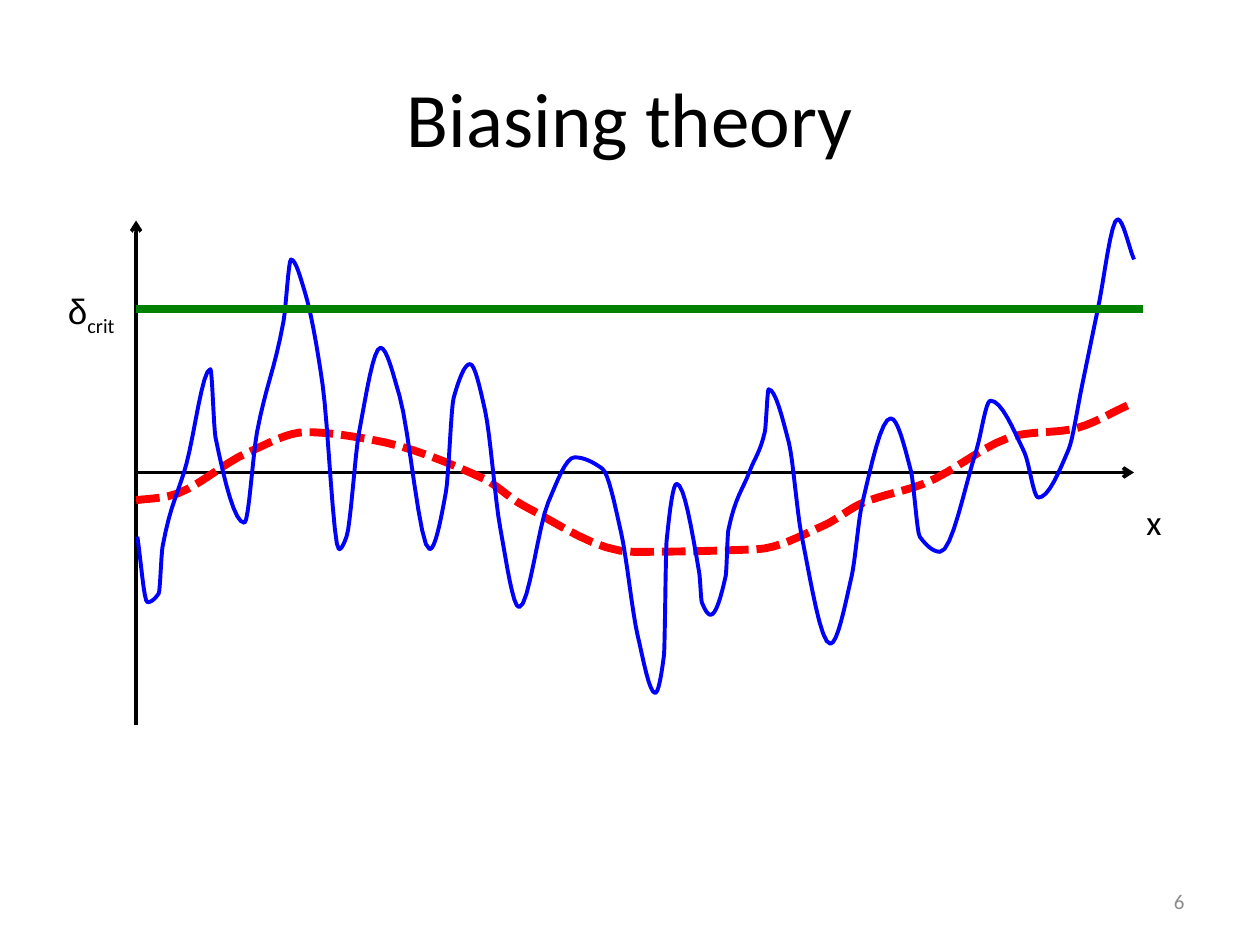
from pptx import Presentation
from pptx.dml.color import RGBColor
from pptx.enum.dml import MSO_LINE
from pptx.enum.shapes import MSO_CONNECTOR
from pptx.enum.text import MSO_ANCHOR, PP_ALIGN
from pptx.oxml.ns import qn
from pptx.util import Inches, Pt
from lxml.etree import SubElement

BLACK = RGBColor(0x00, 0x00, 0x00)
GRAY = RGBColor(0x8C, 0x8C, 0x8C)
RED = RGBColor(0xFF, 0x00, 0x00)
BLUE = RGBColor(0x00, 0x00, 0xFF)
GREEN = RGBColor(0x00, 0x80, 0x00)

AXIS_LEFT, AXIS_RIGHT = 1.08, 9
AXIS_TOP, AXIS_BOTTOM = 1.75, 5.75
MEAN_LEVEL, CRITICAL_LEVEL = 3.75, 2.45
STEPS = 8

# Knots of the curves in slide inches
LARGE_SCALE_MODE = [
    (1.08, 3.97), (1.33, 3.94), (1.97, 3.59), (2.43, 3.43), (2.95, 3.49),
    (3.84, 3.8), (4.15, 4.01), (5.03, 4.38), (6, 4.36), (6.54, 4.17),
    (6.85, 3.99), (7.33, 3.84), (8.1, 3.45), (8.49, 3.41), (8.99, 3.2),
]
DENSITY_FIELD = [
    (1.09, 4.26), (1.17, 4.78), (1.26, 4.71), (1.29, 4.34), (1.48, 3.68), (1.67, 2.93),
    (1.71, 3.47), (1.94, 4.15), (2.04, 3.43), (2.25, 2.55), (2.31, 2.06), (2.42, 2.32),
    (2.56, 3.05), (2.69, 4.36), (2.75, 4.26), (2.85, 3.43), (3.02, 2.76), (3.17, 3.14),
    (3.41, 4.36), (3.54, 3.9), (3.6, 3.16), (3.73, 2.89), (3.85, 3.26), (3.97, 4.19),
    (4.12, 4.82), (4.35, 3.99), (4.56, 3.63), (4.78, 3.72), (4.93, 4.23), (5.06, 5.04),
    (5.2, 5.5), (5.27, 5.2), (5.29, 4.3), (5.37, 3.84), (5.55, 4.55), (5.57, 4.78),
    (5.64, 4.88), (5.76, 4.57), (5.78, 4.21), (5.95, 3.74), (6.07, 3.43), (6.1, 3.09),
    (6.26, 3.51), (6.36, 4.24), (6.59, 5.11), (6.76, 4.57), (6.84, 4.01), (7.07, 3.32),
    (7.23, 3.74), (7.3, 4.26), (7.46, 4.38), (7.75, 3.57), (7.86, 3.18), (8.13, 3.59),
    (8.24, 3.95), (8.48, 3.57), (8.59, 3.05), (8.71, 2.47), (8.87, 1.74), (9, 2.06),
]

presentation = Presentation()
presentation.slide_width, presentation.slide_height = Inches(10), Inches(7.5)
slide = presentation.slides.add_slide(presentation.slide_layouts[6])


def add_text(box, text, size, color=BLACK, align=PP_ALIGN.LEFT,
             anchor=MSO_ANCHOR.TOP, wrap=True):
    shape = slide.shapes.add_textbox(*map(Inches, box))
    frame = shape.text_frame
    frame.word_wrap = wrap
    frame.vertical_anchor = anchor
    paragraph = frame.paragraphs[0]
    paragraph.alignment = align
    paragraph.add_run().text = text
    font = paragraph.font
    font.name, font.size, font.color.rgb = "Calibri", Pt(size), color
    return paragraph


def add_line(start, end, color, width, arrow=False):
    line = slide.shapes.add_connector(
        MSO_CONNECTOR.STRAIGHT, *map(Inches, (*start, *end)))
    line.line.color.rgb, line.line.width = color, Pt(width)
    if arrow:
        SubElement(line.line._get_or_add_ln(), qn("a:tailEnd"), type="arrow")
    SubElement(line._element.spPr, qn("a:effectLst"))


def smooth(knots):
    """Join the knots by cubics that are level at peaks and never overshoot."""
    secants = [(y1 - y0) / (x1 - x0)
               for (x0, y0), (x1, y1) in zip(knots, knots[1:])]
    inner = [2 * a * b / (a + b) if a * b > 0 else 0
             for a, b in zip(secants, secants[1:])]
    slopes = [secants[0], *inner, secants[-1]]
    points = [knots[0]]
    for i, ((x0, y0), (x1, y1)) in enumerate(zip(knots, knots[1:])):
        width = x1 - x0
        for step in range(1, STEPS + 1):
            t = step / STEPS
            ease = t * t * (3 - 2 * t)
            bend = t * (1 - t) * ((1 - t) * slopes[i] - t * slopes[i + 1])
            points.append((x0 + t * width, y0 + ease * (y1 - y0) + bend * width))
    return points


def add_curve(knots, color, width, dash=None):
    start, *rest = [(Inches(x), Inches(y)) for x, y in smooth(knots)]
    builder = slide.shapes.build_freeform(*start)
    builder.add_line_segments(rest, close=False)
    curve = builder.convert_to_shape()
    curve.shadow.inherit = False
    curve.fill.background()
    curve.line.color.rgb, curve.line.width = color, Pt(width)
    if dash:
        curve.line.dash_style = dash
    SubElement(curve.line._get_or_add_ln(), qn("a:round"))


add_text((0.5, 0.3, 9, 1.25), "Biasing theory", 44,
         align=PP_ALIGN.CENTER, anchor=MSO_ANCHOR.MIDDLE)
add_text((7.17, 6.95, 2.33, 0.4), "6", 12, GRAY, PP_ALIGN.RIGHT, MSO_ANCHOR.MIDDLE)

add_line((AXIS_LEFT, MEAN_LEVEL), (AXIS_RIGHT, MEAN_LEVEL), BLACK, 2, arrow=True)
add_text((9, 3.92, 0.32, 0.44), "x", 20, wrap=False)
add_line((AXIS_LEFT, AXIS_BOTTOM), (AXIS_LEFT, AXIS_TOP), BLACK, 2, arrow=True)

add_curve(LARGE_SCALE_MODE, RED, 4.5, MSO_LINE.SQUARE_DOT)
add_curve(DENSITY_FIELD, BLUE, 2.25)

add_line((AXIS_LEFT, CRITICAL_LEVEL), (9.07, CRITICAL_LEVEL), GREEN, 4.5)
threshold_label = add_text((0.44, 2.25, 0.59, 0.44), "δ", 20, wrap=False)
threshold_label.runs[0].font.name = "Arial"
subscript = threshold_label.add_run()
subscript.text = "crit"
subscript.font._element.set("baseline", "-25000")

presentation.save("out.pptx")
